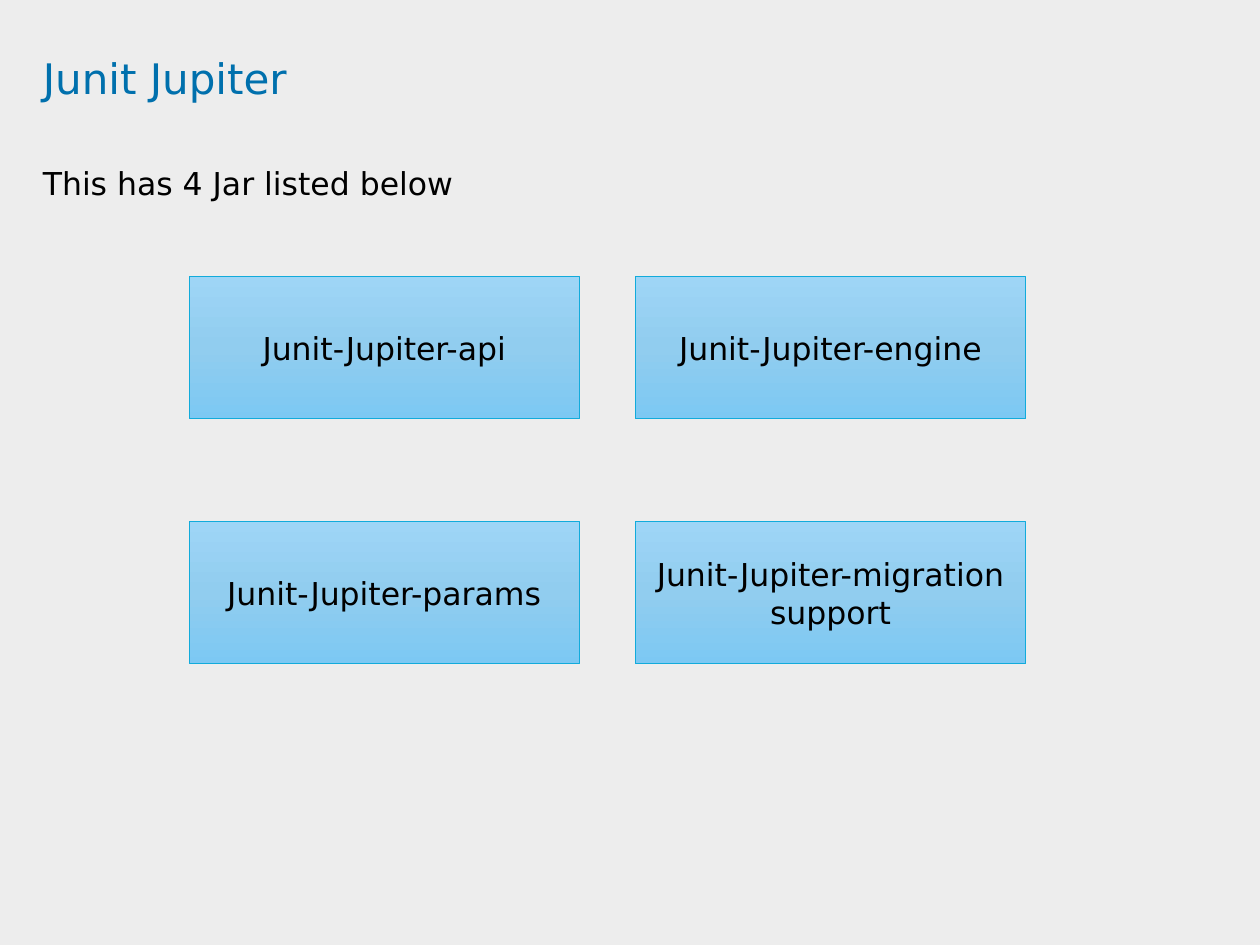
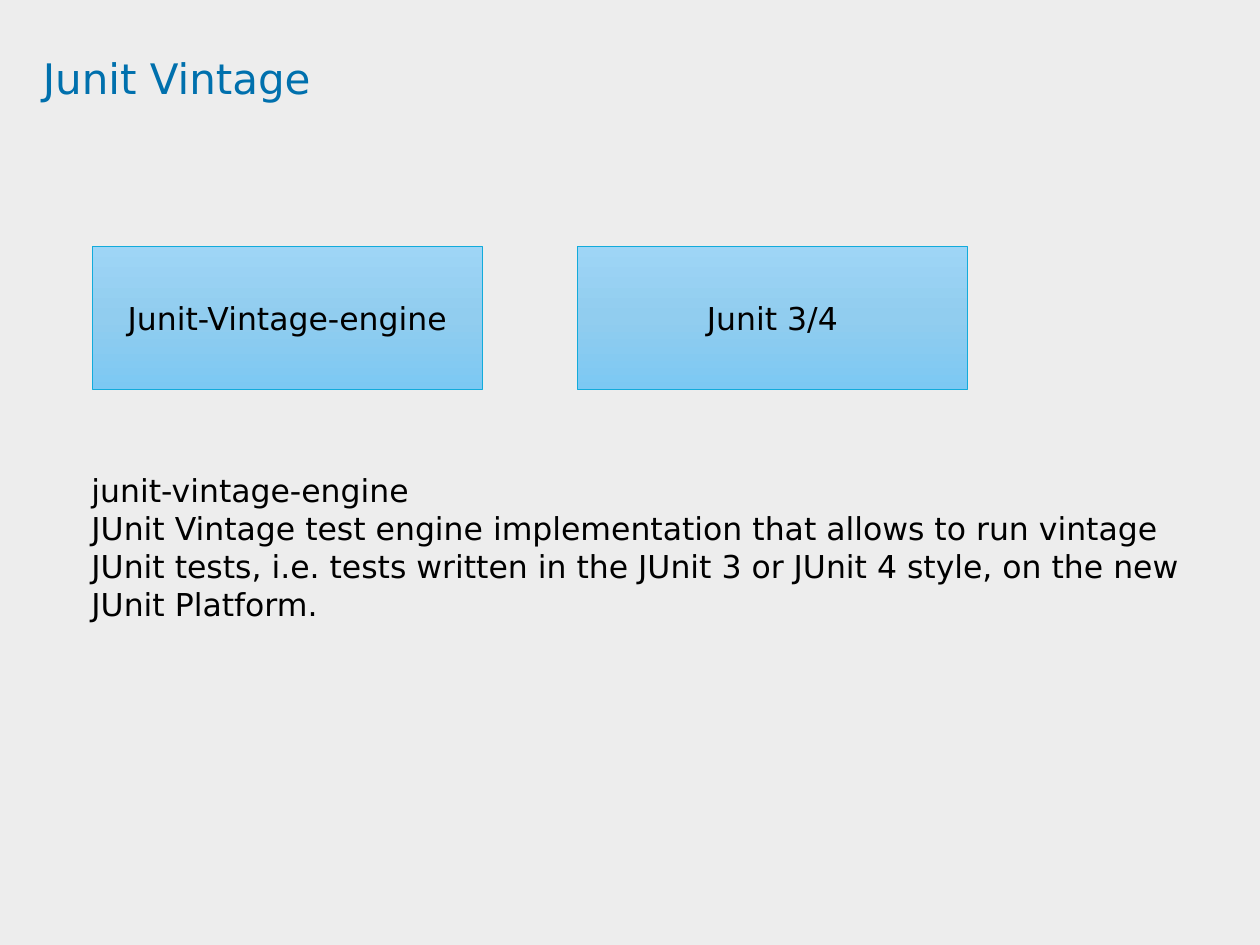
from copy import deepcopy

from pptx import Presentation
from pptx.dml.color import RGBColor
from pptx.enum import shapes, text
from pptx.util import Pt

FONT = "DejaVu Sans"
COLORS = {
    "background": "EDEDED",
    "title": "0070AD",
    "text": "000000",
    "box_top": "9ED5F6",
    "box_middle": "91CDEF",
    "box_bottom": "7CC8F3",
    "box_line": "12ABDB",
}
BOX_W, BOX_H = 223.2, 81.4


def style_text(tf, size, color):
    tf.word_wrap = True
    for p in tf.paragraphs:
        for r in p.runs:
            r.font.name = FONT
            r.font.size = Pt(size)
            r.font.color.rgb = RGBColor.from_string(COLORS[color])


def add_jar_box(s, label, left, top):
    sp = s.shapes.add_shape(shapes.MSO_SHAPE.RECTANGLE,
                            Pt(left), Pt(top), Pt(BOX_W), Pt(BOX_H))
    sp.shadow.inherit = False
    sp.fill.gradient()
    sp.fill.gradient_angle = 270
    first_stop = sp.fill._fill._gradFill.gsLst[0]
    first_stop.addnext(deepcopy(first_stop))
    for stop, (position, color) in zip(
            sp.fill.gradient_stops,
            [(0, "box_top"), (0.5, "box_middle"), (1, "box_bottom")]):
        stop.position = position
        stop.color.rgb = RGBColor.from_string(COLORS[color])
    sp.line.color.rgb = RGBColor.from_string(COLORS["box_line"])
    sp.line.width = Pt(0.5)
    tf = sp.text_frame
    tf.text = label
    tf.vertical_anchor = text.MSO_ANCHOR.MIDDLE
    tf.paragraphs[0].alignment = text.PP_ALIGN.CENTER
    style_text(tf, 18, "text")


prs = Presentation()
prs.slide_width, prs.slide_height = Pt(720), Pt(540)
background = prs.slide_master.background.fill
background.solid()
background.fore_color.rgb = RGBColor.from_string(COLORS["background"])

# Each slide: title, column lefts, row tops, box labels by row,
# then the text with its place and whether it is a tight lead line
slides = [
    ("Junit Jupiter", [108, 363], [158, 298],
     [["Junit-Jupiter-api", "Junit-Jupiter-engine"],
      ["Junit-Jupiter-params", "Junit-Jupiter-migration support"]],
     "This has 4 Jar listed below", (24.5, 98.6, 696, 427), True),
    ("Junit Vintage", [52.6, 329.8], [141.1],
     [["Junit-Vintage-engine", "Junit 3/4"]],
     "junit-vintage-engine\n"
     "JUnit Vintage test engine implementation that allows to run vintage "
     "JUnit tests, i.e. tests written in the JUnit 3 or JUnit 4 style, "
     "on the new JUnit Platform.", (45.2, 265.7, 655.2, 181.4), False),
]

for title, lefts, tops, labels, body, place, is_lead in slides:
    s = prs.slides.add_slide(prs.slide_layouts[5])
    heading = s.shapes.title
    heading.left, heading.top = Pt(24.5), Pt(33.1)
    heading.width, heading.height = Pt(654.5), Pt(45.4)
    tf = heading.text_frame
    tf.text = title
    tf.margin_left = tf.margin_top = tf.margin_right = tf.margin_bottom = 0
    tf.auto_size = text.MSO_AUTO_SIZE.NONE
    tf.vertical_anchor = text.MSO_ANCHOR.TOP
    tf.paragraphs[0].alignment = text.PP_ALIGN.LEFT
    tf.paragraphs[0].line_spacing = 0.9
    style_text(tf, 24, "title")

    tf = s.shapes.add_textbox(*map(Pt, place)).text_frame
    tf.text = body
    style_text(tf, 18, "text")
    if is_lead:
        tf.margin_left = tf.margin_top = tf.margin_right = tf.margin_bottom = 0
        tf.paragraphs[0].line_spacing = Pt(16.5)
        tf.paragraphs[0].space_after = Pt(4.5)

    for top, row in zip(tops, labels):
        for left, label in zip(lefts, row):
            add_jar_box(s, label, left, top)

prs.save("out.pptx")
